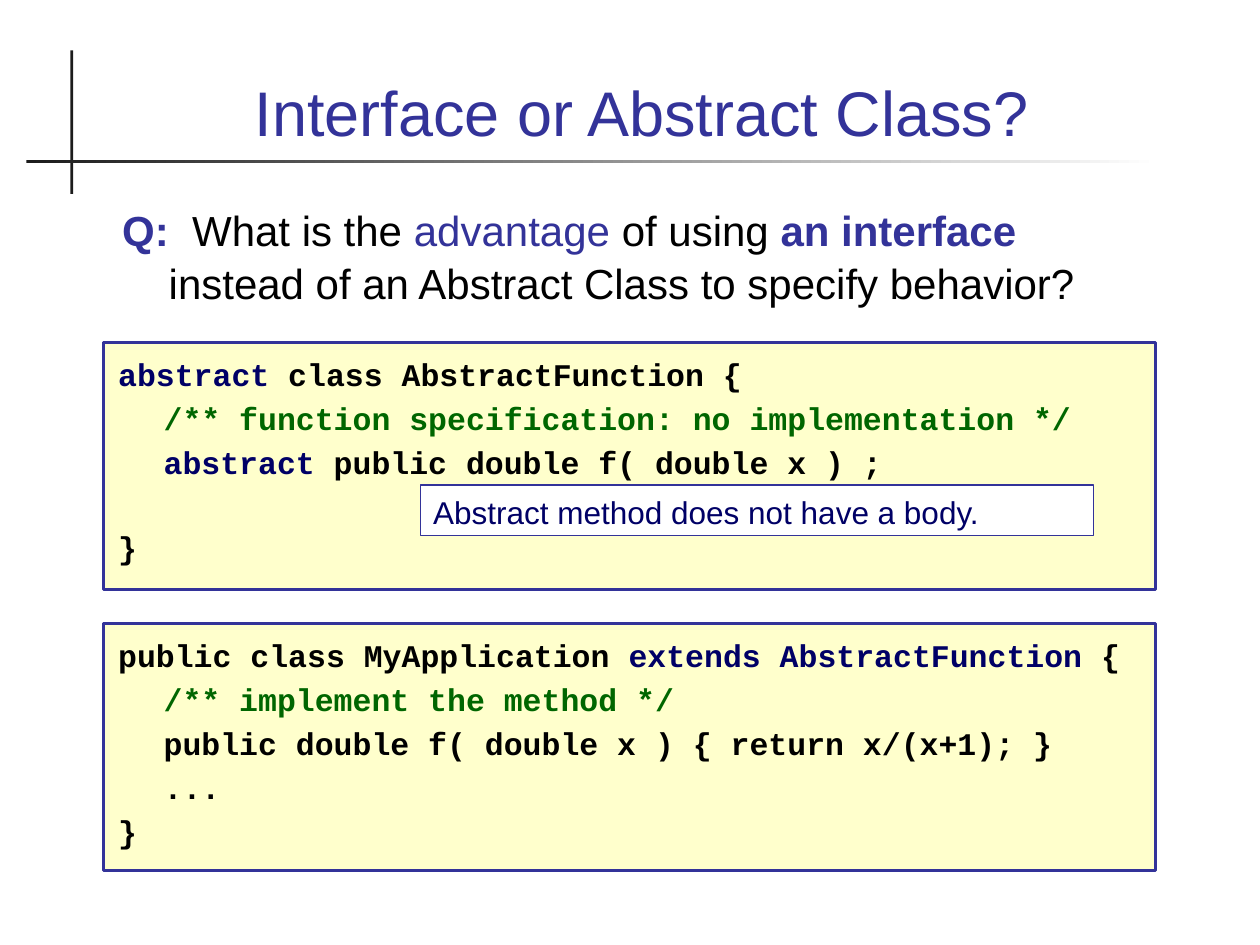
import dataclasses
import pptx
import pptx.dml.color
import pptx.enum.shapes
import pptx.enum.text
import pptx.util

Pt = pptx.util.Pt
RECT = pptx.enum.shapes.MSO_SHAPE.RECTANGLE
ANCHOR = pptx.enum.text.MSO_ANCHOR
ALIGN = pptx.enum.text.PP_ALIGN
FIT = pptx.enum.text.MSO_AUTO_SIZE


@dataclasses.dataclass(frozen=True)
class Theme:
    blue: str = "333399"
    navy: str = "000066"
    green: str = "006600"
    black: str = "000000"
    dark: str = "1C1C1C"
    white: str = "FFFFFF"
    cream: str = "FFFFCC"
    sans: str = "Arial"
    mono: str = "Courier New"
    head: int = 36
    body: int = 24
    small: int = 18
    lead: float = 1.06


THEME = Theme()


def color(code):
    return pptx.dml.color.RGBColor.from_string(code)


def write(para, text, font=THEME.sans, size=THEME.small, fill=THEME.black, bold=False):
    run = para.add_run()
    run.text = text
    run.font.name = font
    run.font.size = Pt(size)
    run.font.bold = bold
    run.font.color.rgb = color(fill)


def indent(para, left, first):
    props = para._p.get_or_add_pPr()
    props.set("marL", str(Pt(left)))
    props.set("indent", str(Pt(first)))


class Deck:
    def __init__(self, theme):
        self.theme = theme
        self.file = pptx.Presentation()
        self.file.slide_width = Pt(720)
        self.file.slide_height = Pt(540)
        self.slide = self.file.slides.add_slide(self.file.slide_layouts[5])

    def frame(self, shape, anchor=ANCHOR.TOP):
        frame = shape.text_frame
        frame.word_wrap = True
        frame.auto_size = FIT.NONE
        frame.vertical_anchor = anchor
        return frame

    def title(self, text, left, top, width, height):
        shape = self.slide.shapes.title
        shape.left, shape.top = Pt(left), Pt(top)
        shape.width, shape.height = Pt(width), Pt(height)
        para = self.frame(shape, ANCHOR.BOTTOM).paragraphs[0]
        para.alignment = ALIGN.CENTER
        write(para, text, size=self.theme.head, fill=self.theme.blue)

    def rect(self, left, top, width, height, fill, line=0):
        shape = self.slide.shapes.add_shape(
            RECT, Pt(left), Pt(top), Pt(width), Pt(height))
        shape.shadow.inherit = False
        shape.fill.solid()
        shape.fill.fore_color.rgb = color(fill)
        if line:
            shape.line.color.rgb = color(self.theme.blue)
            shape.line.width = Pt(line)
        else:
            shape.line.fill.background()
        return shape

    def fade(self, left, top, width, height):
        fill = self.rect(left, top, width, height, self.theme.dark).fill
        fill.gradient()
        fill.gradient_angle = 0
        for stop, tone in zip(fill.gradient_stops, (self.theme.dark, self.theme.white)):
            stop.color.rgb = color(tone)

    def query(self, parts, left, top, width, height):
        shape = self.slide.shapes.add_textbox(
            Pt(left), Pt(top), Pt(width), Pt(height))
        para = self.frame(shape).paragraphs[0]
        indent(para, 27.4, -26.6)
        para.line_spacing = self.theme.lead
        for text, fill, bold in parts:
            write(para, text, size=self.theme.body, fill=fill, bold=bold)

    def code(self, lines, left, top, width, height, gap=2.2, last=2.2):
        shape = self.rect(left, top, width, height, self.theme.cream, 1.5)
        frame = self.frame(shape)
        frame.margin_top = Pt(5.8)
        for row, parts in enumerate(lines):
            para = frame.add_paragraph() if row else frame.paragraphs[0]
            indent(para, 27.4, -26)
            para.alignment = ALIGN.LEFT
            para.line_spacing = self.theme.lead
            if row:
                para.space_before = Pt(last if row == len(lines) - 1 else gap)
            for text, fill in parts:
                write(para, text, font=self.theme.mono, fill=fill, bold=True)

    def note(self, text, left, top, width, height):
        shape = self.rect(left, top, width, height, self.theme.white, 0.75)
        para = self.frame(shape).paragraphs[0]
        para.alignment = ALIGN.LEFT
        para.line_spacing = self.theme.lead
        write(para, text, fill=self.theme.navy)


def main():
    blue, navy, green, black = THEME.blue, THEME.navy, THEME.green, THEME.black
    deck = Deck(THEME)
    deck.rect(40.2, 28.8, 1.7, 82.1, THEME.dark)
    deck.fade(15.1, 91.3, 647.3, 1.7)
    deck.title("Interface or Abstract Class?", 48.2, 20.2, 637.2, 68.4)
    deck.query([
        ("Q: ", blue, True),
        (" What is the ", black, False),
        ("advantage ", blue, False),
        ("of using ", black, False),
        ("an interface", blue, True),
        (" instead of an Abstract Class to specify behavior?", black, False),
    ], 61.9, 111.6, 596.2, 64.8)
    deck.code([
        [("abstract", navy), (" class AbstractFunction {", black)],
        [("\t/** function specification: no implementation */", green)],
        [("\tabstract", navy), (" public double f( double x ) ;", black)],
        [("}", black)],
    ], 59, 195.8, 601.2, 141, last=26)
    deck.note("Abstract method does not have a body.", 240.5, 277.2, 384.5, 28.8)
    deck.code([
        [("public class MyApplication ", black),
         ("extends AbstractFunction", navy), (" {", black)],
        [("\t/** implement the method */", green)],
        [("\tpublic double f( double x ) { return x/(x+1); }", black)],
        [("\t...", black)],
        [("}", black)],
    ], 59, 356.4, 601.2, 141)
    deck.file.save("out.pptx")


if __name__ == "__main__":
    main()
